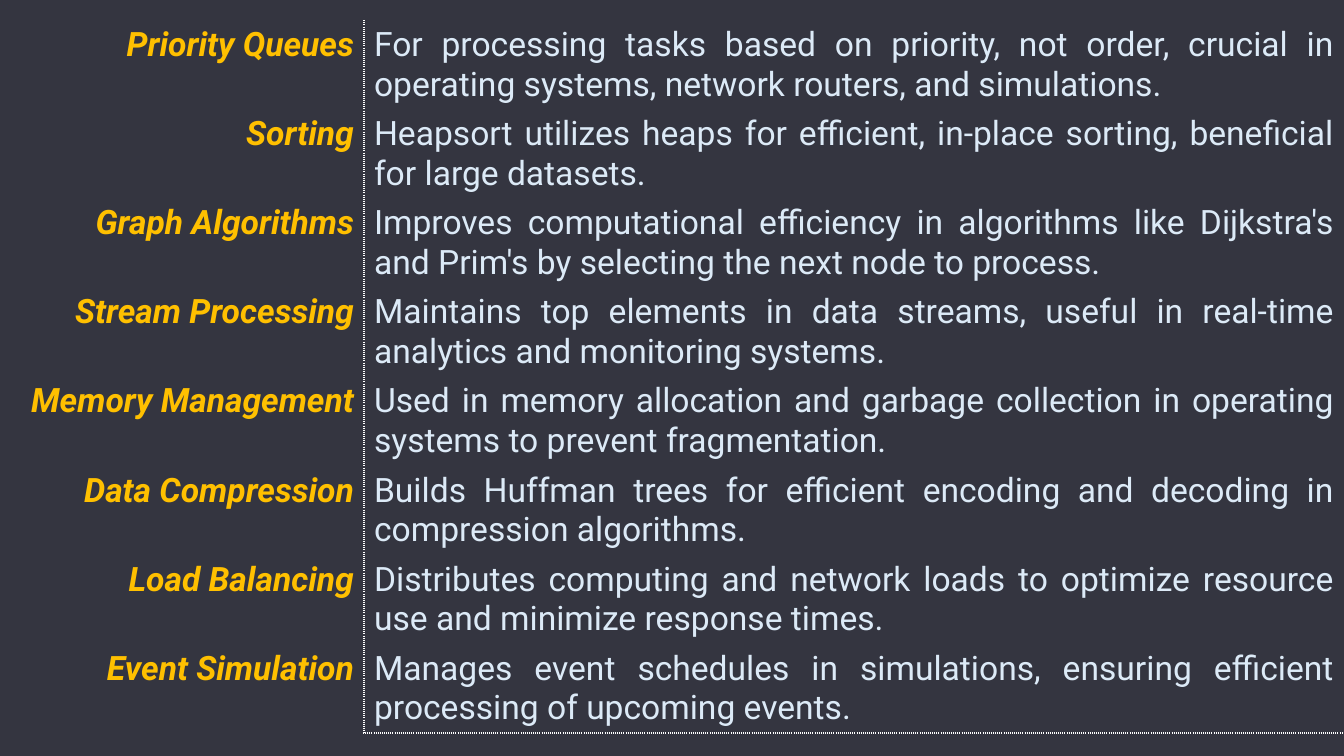
"""Build a slide listing the applications of heaps in a two-column table."""
import pptx
import pptx.dml.color
import pptx.enum.text
import pptx.oxml.ns
import pptx.util
from lxml import etree

APPLICATIONS = [
    ("Priority Queues", "For processing tasks based on priority, not order, crucial in operating systems, "
                        "network routers, and simulations."),
    ("Sorting", "Heapsort utilizes heaps for efficient, in-place sorting, beneficial for large datasets."),
    ("Graph Algorithms", "Improves computational efficiency in algorithms like Dijkstra's and Prim's by "
                         "selecting the next node to process."),
    ("Stream Processing", "Maintains top elements in data streams, useful in real-time analytics and "
                          "monitoring systems."),
    ("Memory Management", "Used in memory allocation and garbage collection in operating systems to "
                          "prevent fragmentation."),
    ("Data Compression", "Builds Huffman trees for efficient encoding and decoding in compression algorithms."),
    ("Load Balancing", "Distributes computing and network loads to optimize resource use and minimize "
                       "response times."),
    ("Event Simulation", "Manages event schedules in simulations, ensuring efficient processing of "
                         "upcoming events."),
]
COLORS = {"background": "343540", "name": "FFC000", "use": "DCEAF7", "divider": "FFFFFF"}
ALIGN = pptx.enum.text.PP_ALIGN
COLUMNS = [
    {"width": 364, "color": "name", "align": ALIGN.RIGHT, "divider": "R",
     "font": {"bold": True, "italic": True}},
    {"width": 980, "color": "use", "align": ALIGN.JUSTIFY, "divider": "L",
     "font": {"bold": False, "italic": False}},
]
FONT = {"name": "Roboto", "size": pptx.util.Pt(24)}
SLIDE_WIDTH, SLIDE_HEIGHT = 1344, 756
TABLE_TOP, HEADER_HEIGHT, ROW_HEIGHT = -13, 28, 85
HEADER_POINTS = 14
DIVIDER_POINTS = 1.5
NO_GRID_STYLE = "{2D5ABB26-0587-4C30-8999-92F81FD0307C}"
EMU_PER_PX = 914400 / 100.8


def px(length):
    return pptx.util.Emu(round(length * EMU_PER_PX))


def rgb(name):
    return pptx.dml.color.RGBColor.from_string(COLORS[name])


def add_child(parent, tag, **attributes):
    return etree.SubElement(parent, pptx.oxml.ns.qn(tag), attributes)


def style_cell(cell, dotted_sides):
    properties = cell._tc.get_or_add_tcPr()
    for side in "LRTB":
        border = add_child(properties, f"a:ln{side}", w=str(pptx.util.Pt(DIVIDER_POINTS)))
        if side in dotted_sides:
            add_child(add_child(border, "a:solidFill"), "a:srgbClr", val=COLORS["divider"])
            add_child(border, "a:prstDash", val="sysDot")
        else:
            add_child(border, "a:noFill")
    cell.fill.background()


def write_cell(cell, text, column):
    paragraph = cell.text_frame.paragraphs[0]
    paragraph.alignment = column["align"]
    run = paragraph.add_run()
    run.text = text
    for key, value in {**FONT, **column["font"]}.items():
        setattr(run.font, key, value)
    run.font.color.rgb = rgb(column["color"])


def main():
    deck = pptx.Presentation()
    deck.slide_width, deck.slide_height = px(SLIDE_WIDTH), px(SLIDE_HEIGHT)
    slide = deck.slides.add_slide(deck.slide_layouts[6])
    slide.background.fill.solid()
    slide.background.fill.fore_color.rgb = rgb("background")

    row_heights = [HEADER_HEIGHT] + [ROW_HEIGHT] * len(APPLICATIONS)
    uses = slide.shapes.add_table(len(row_heights), len(COLUMNS), 0, px(TABLE_TOP),
                                  px(SLIDE_WIDTH), px(sum(row_heights))).table
    uses.first_row = uses.horz_banding = False
    uses._tbl.tblPr.find(pptx.oxml.ns.qn("a:tableStyleId")).text = NO_GRID_STYLE
    for row, height in zip(uses.rows, row_heights):
        row.height = px(height)
    for table_column, column in zip(uses.columns, COLUMNS):
        table_column.width = px(column["width"])

    header = uses.cell(0, 0)
    header.merge(uses.cell(0, 1))
    for cell in uses.rows[0].cells:
        style_cell(cell, "")
    empty_run = add_child(header.text_frame.paragraphs[0]._p, "a:endParaRPr", sz=str(HEADER_POINTS * 100))
    add_child(empty_run, "a:latin", typeface=FONT["name"])

    for row_index, application in enumerate(APPLICATIONS, start=1):
        for column_index, (text, column) in enumerate(zip(application, COLUMNS)):
            cell = uses.cell(row_index, column_index)
            closing = row_index == len(APPLICATIONS) and column_index == 1
            style_cell(cell, column["divider"] + ("B" if closing else ""))
            write_cell(cell, text, column)

    deck.save("out.pptx")


if __name__ == "__main__":
    main()
